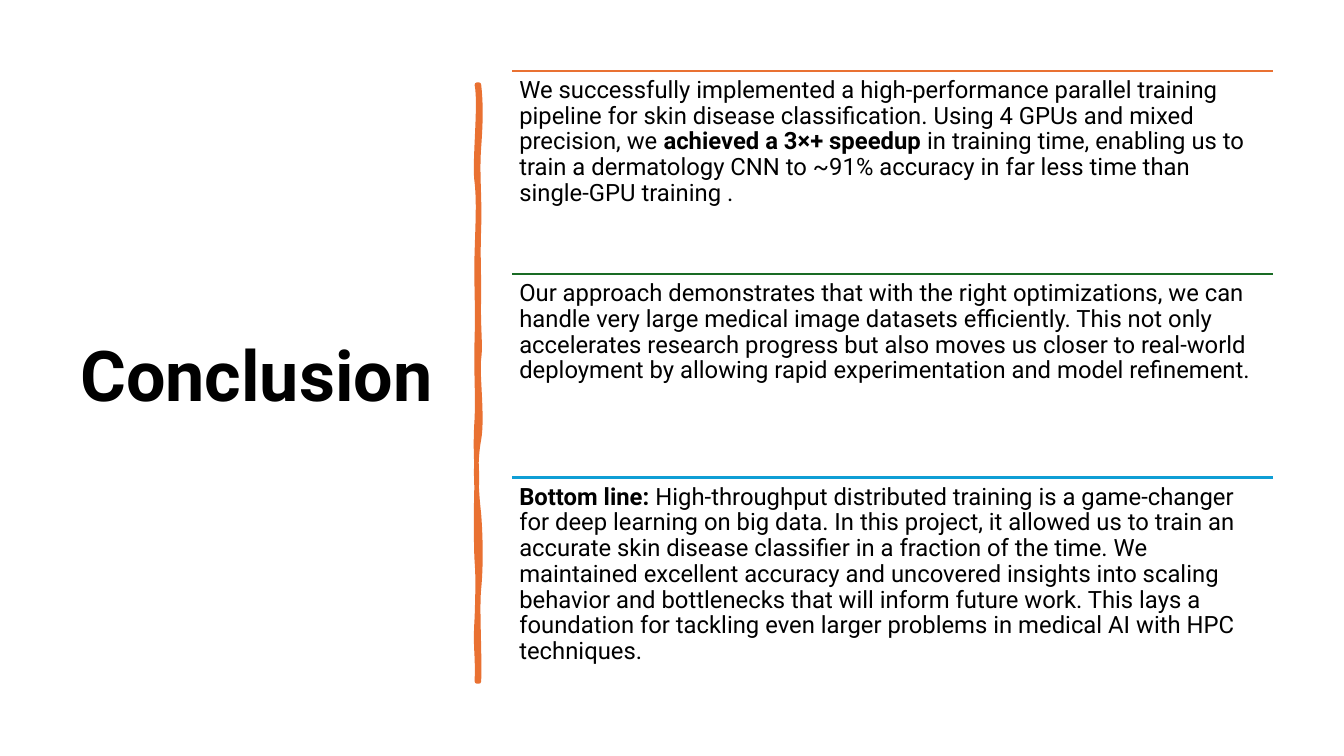
from dataclasses import dataclass

from lxml import etree
from pptx import Presentation
from pptx.dml.color import RGBColor
from pptx.enum.shapes import MSO_CONNECTOR
from pptx.enum.text import MSO_ANCHOR, MSO_AUTO_SIZE, PP_ALIGN
from pptx.oxml.ns import qn
from pptx.util import Emu, Inches, Pt

STRAIGHT = MSO_CONNECTOR.STRAIGHT
TOP, MIDDLE = MSO_ANCHOR.TOP, MSO_ANCHOR.MIDDLE
NO_FIT = MSO_AUTO_SIZE.NONE
LEFT = PP_ALIGN.LEFT

FONT = "Roboto"
COLORS = {
    "text": "000000",
    "orange": "E97132",
    "green": "196B24",
    "blue": "0F9ED5",
}
WIDTH, HEIGHT = Inches(13.33), Inches(7.5)


@dataclass(frozen=True)
class Area:
    """Place and size in percent of the slide."""
    left: float
    top: float
    width: float
    height: float

    def emu(self) -> tuple[Emu, Emu, Emu, Emu]:
        return (Emu(round(WIDTH * self.left / 100)), Emu(round(HEIGHT * self.top / 100)),
                Emu(round(WIDTH * self.width / 100)), Emu(round(HEIGHT * self.height / 100)))


@dataclass(frozen=True)
class Span:
    text: str
    bold: bool = False


@dataclass(frozen=True)
class Point:
    color: str
    spans: tuple[Span, ...]


TITLE_AREA = Area(5.22, 9.33, 28.06, 81.47)
FIRST_ROW = Area(38.11, 9.37, 56.64, 26.9)

POINTS = (
    Point("orange", (
        Span("We successfully implemented a high-performance parallel training pipeline for skin "
             "disease classification. Using 4 GPUs and mixed precision, we "),
        Span("achieved a 3×+ speedup", bold=True),
        Span(" in training time, enabling us to train a dermatology CNN to ~91% accuracy in far "
             "less time than single-GPU training ."),
    )),
    Point("green", (
        Span("Our approach demonstrates that with the right optimizations, we can handle very "
             "large medical image datasets efficiently. This not only accelerates research "
             "progress but also moves us closer to real-world deployment by allowing rapid "
             "experimentation and model refinement."),
    )),
    Point("blue", (
        Span("Bottom line:", bold=True),
        Span(" High-throughput distributed training is a game-changer for deep learning on big "
             "data. In this project, it allowed us to train an accurate skin disease classifier "
             "in a fraction of the time. We maintained excellent accuracy and uncovered insights "
             "into scaling behavior and bottlenecks that will inform future work. This lays a "
             "foundation for tackling even larger problems in medical AI with HPC techniques."),
    )),
)

# Brush stroke: cubic curves in inches, each row two controls and an end
BRUSH_START = (4.75, 0.84)
BRUSH_ORIGIN = (4.73, 0.84)
BRUSH_EDGE = (
    (4.77, 1.02, 4.77, 1.19, 4.75, 1.46), (4.73, 1.73, 4.76, 1.95, 4.75, 2.26),
    (4.74, 2.57, 4.75, 2.62, 4.75, 2.94), (4.74, 3.25, 4.77, 3.42, 4.75, 3.56),
    (4.73, 3.7, 4.79, 4.14, 4.75, 4.36), (4.71, 4.57, 4.72, 4.84, 4.75, 5.1),
    (4.77, 5.36, 4.77, 5.64, 4.75, 5.84), (4.73, 6.03, 4.76, 6.5, 4.75, 6.76),
    (4.74, 6.76, 4.73, 6.76, 4.73, 6.76), (4.74, 6.46, 4.71, 6.44, 4.73, 6.13),
    (4.74, 5.83, 4.74, 5.7, 4.73, 5.57), (4.72, 5.44, 4.72, 4.95, 4.73, 4.77),
    (4.73, 4.59, 4.71, 4.45, 4.73, 4.15), (4.74, 3.86, 4.72, 3.73, 4.73, 3.35),
    (4.74, 2.98, 4.72, 2.81, 4.73, 2.5), (4.74, 2.18, 4.75, 2, 4.73, 1.81),
    (4.7, 1.63, 4.77, 1.04, 4.73, 0.84), (4.74, 0.84, 4.74, 0.84, 4.75, 0.84),
)
BRUSH_BODY = (
    (4.75, 1.15, 4.72, 1.25, 4.75, 1.52), (4.77, 1.79, 4.74, 1.97, 4.75, 2.08),
    (4.76, 2.2, 4.74, 2.55, 4.75, 2.94), (4.76, 3.33, 4.73, 3.43, 4.75, 3.62),
    (4.77, 3.81, 4.77, 3.97, 4.75, 4.3), (4.72, 4.63, 4.75, 4.74, 4.75, 5.16),
    (4.75, 5.57, 4.74, 5.53, 4.75, 5.78), (4.76, 6.03, 4.74, 6.47, 4.75, 6.76),
    (4.74, 6.75, 4.73, 6.75, 4.73, 6.76), (4.7, 6.49, 4.74, 6.32, 4.73, 6.13),
    (4.72, 5.95, 4.75, 5.69, 4.73, 5.39), (4.71, 5.1, 4.76, 5, 4.73, 4.71),
    (4.7, 4.42, 4.77, 4.2, 4.73, 3.86), (4.69, 3.51, 4.74, 3.25, 4.73, 3),
    (4.71, 2.75, 4.71, 2.59, 4.73, 2.38), (4.74, 2.16, 4.74, 1.85, 4.73, 1.64),
    (4.71, 1.43, 4.75, 1.21, 4.73, 0.84), (4.74, 0.84, 4.74, 0.84, 4.75, 0.84),
)


def color(name: str) -> RGBColor:
    return RGBColor.from_string(COLORS[name])


def write(frame, spans: tuple[Span, ...], size: float, anchor) -> None:
    frame.word_wrap = True
    frame.auto_size = NO_FIT
    frame.vertical_anchor = anchor
    para = frame.paragraphs[0]
    para.alignment = LEFT
    para.line_spacing = 0.9
    for span in spans:
        run = para.add_run()
        run.text = span.text
        run.font.name = FONT
        run.font.size = Pt(size)
        run.font.bold = span.bold
        run.font.color.rgb = color("text")


def add_command(path, tag: str, numbers: tuple[float, ...]) -> None:
    command = etree.SubElement(path, qn(tag))
    for x, y in zip(numbers[::2], numbers[1::2]):
        etree.SubElement(command, qn("a:pt"), x=str(Inches(x - BRUSH_ORIGIN[0])),
                         y=str(Inches(y - BRUSH_ORIGIN[1])))


def add_brush(page) -> None:
    start, *ends = [(Inches(x), Inches(y))
                    for x, y in (BRUSH_START, *(curve[-2:] for curve in BRUSH_EDGE))]
    builder = page.shapes.build_freeform(*start)
    builder.add_line_segments(ends, close=True)
    brush = builder.convert_to_shape()
    brush.shadow.inherit = False
    brush.fill.solid()
    brush.fill.fore_color.rgb = color("orange")
    brush.line.color.rgb = color("orange")
    brush.line.width = Pt(3.25)
    properties = brush.element.spPr
    etree.SubElement(properties.find(qn("a:ln")), qn("a:round"))

    # One curved path for the line, one for the fill
    path_list = properties.find(f"{qn('a:custGeom')}/{qn('a:pathLst')}")
    for path in list(path_list):
        path_list.remove(path)
    size = {"w": str(brush.width), "h": str(brush.height)}
    for curves, off in ((BRUSH_EDGE, {"fill": "none"}), (BRUSH_BODY, {"stroke": "0"})):
        path = etree.SubElement(path_list, qn("a:path"), **size, **off)
        add_command(path, "a:moveTo", BRUSH_START)
        for curve in curves:
            add_command(path, "a:cubicBezTo", curve)
        etree.SubElement(path, qn("a:close"))


def add_point(page, point: Point, area: Area) -> None:
    left, top, width, height = area.emu()
    rule = page.shapes.add_connector(STRAIGHT, left, top, left + width, top)
    rule.line.color.rgb = color(point.color)
    rule.line.width = Pt(1.5)
    etree.SubElement(rule.element.spPr, qn("a:effectLst"))

    frame = page.shapes.add_textbox(left, top, width, height).text_frame
    frame.margin_left = frame.margin_top = frame.margin_bottom = Inches(0.07)
    frame.margin_right = Inches(0.1)
    write(frame, point.spans, 17, TOP)


def main() -> None:
    deck = Presentation()
    deck.slide_width, deck.slide_height = WIDTH, HEIGHT
    page = deck.slides.add_slide(deck.slide_layouts[5])

    # Title
    title = page.shapes.title
    title.left, title.top, title.width, title.height = TITLE_AREA.emu()
    write(title.text_frame, (Span("Conclusion", bold=True),), 50, MIDDLE)

    # Vertical brush stroke
    add_brush(page)

    # Ruled points in equal rows
    for row, point in enumerate(POINTS):
        top = FIRST_ROW.top + row * FIRST_ROW.height
        add_point(page, point, Area(FIRST_ROW.left, top, FIRST_ROW.width, FIRST_ROW.height))

    deck.save("out.pptx")


if __name__ == "__main__":
    main()
